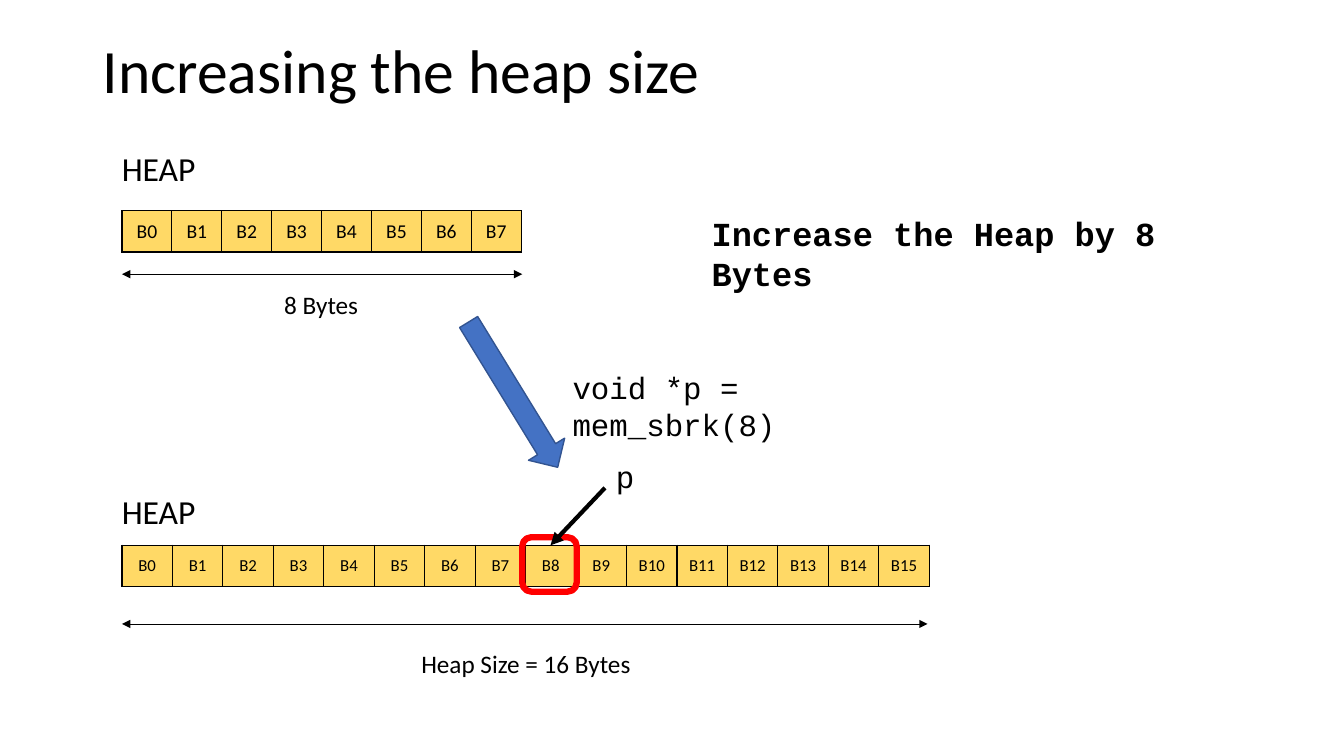
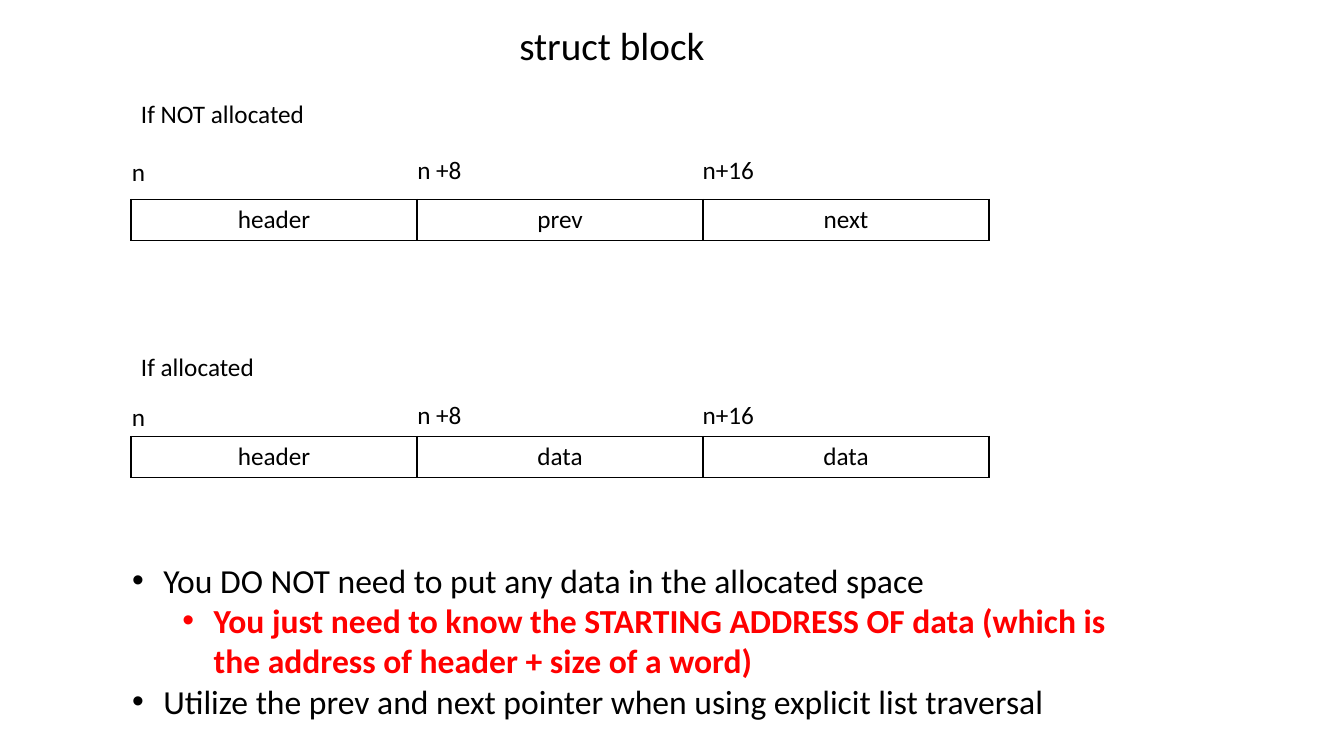
"""Two slides on growing a heap and on the layout of a struct block."""
from lxml import etree
from pptx import Presentation
from pptx import util as u
from pptx.dml.color import RGBColor
from pptx.enum import shapes, text
from pptx.oxml.ns import qn

COLORS = {
    "text": "000000",
    "cell": "FFD966",
    "arrow": "4472C4",
    "arrow_edge": "325491",
    "accent": "FF0000",
}
RGB = {name: RGBColor.from_string(value) for name, value in COLORS.items()}
SANS, MONO = "Calibri", "Courier New"


def add_run(p, words, size, font=SANS, bold=False, color="text"):
    r = p.add_run()
    r.text = words
    r.font.size = u.Pt(size)
    r.font.name = font
    r.font.bold = bold
    r.font.color.rgb = RGB[color]


def add_cells(s, labels, left, top, width, size, fill=None):
    box = [u.Inches(v) for v in (left, top, width, 0.41)]
    table = s.shapes.add_table(1, len(labels), *box).table
    table.first_row = table.horz_banding = False
    for cell, label in zip(table.iter_cells(), labels):
        cell.vertical_anchor = text.MSO_ANCHOR.MIDDLE
        tcPr = cell._tc.get_or_add_tcPr()
        for side in ("lnL", "lnR", "lnT", "lnB"):
            ln = etree.SubElement(tcPr, qn(f"a:{side}"), w=str(u.Pt(1)))
            solid = etree.SubElement(ln, qn("a:solidFill"))
            etree.SubElement(solid, qn("a:srgbClr"), val=COLORS["text"])
        if fill:
            cell.fill.solid()
            cell.fill.fore_color.rgb = RGB[fill]
        else:
            cell.fill.background()
        p = cell.text_frame.paragraphs[0]
        p.alignment = text.PP_ALIGN.CENTER
        add_run(p, label, size)


prs = Presentation()
prs.slide_width, prs.slide_height = u.Inches(13.33), u.Inches(7.5)

for layout, title, size, spacing, box in (
    (5, "Increasing the heap size", 44, 0.9, (0.92, 0, 11.5, 1.45)),
    (1, "struct block", 28, 1.0, (5.05, 0.16, 2.31, 0.57)),
):
    s = prs.slides.add_slide(prs.slide_layouts[layout])
    sp = s.shapes.title
    sp.left, sp.top, sp.width, sp.height = [u.Inches(v) for v in box]
    tf = sp.text_frame
    tf.auto_size = text.MSO_AUTO_SIZE.NONE
    tf.vertical_anchor = text.MSO_ANCHOR.MIDDLE
    p = tf.paragraphs[0]
    p.alignment = text.PP_ALIGN.LEFT
    p.line_spacing = spacing
    add_run(p, title, size)

heap, block = prs.slides

for count, top, width, size in ((8, 2.09, 3.96, 14), (16, 5.41, 8.01, 12)):
    labels = [f"B{i}" for i in range(count)]
    add_cells(heap, labels, 1.21, top, width, size, "cell")

sp = heap.shapes.add_shape(
    shapes.MSO_SHAPE.DOWN_ARROW,
    u.Inches(4.88), u.Inches(3.07), u.Inches(0.42), u.Inches(1.69))
sp.rotation = 328.5
sp.shadow.inherit = False
sp.fill.solid()
sp.fill.fore_color.rgb = RGB["arrow"]
sp.line.color.rgb = RGB["arrow_edge"]
sp.line.width = u.Pt(1)

sp = heap.shapes.add_shape(
    shapes.MSO_SHAPE.ROUNDED_RECTANGLE,
    u.Inches(5.18), u.Inches(5.33), u.Inches(0.54), u.Inches(0.54))
sp.shadow.inherit = False
sp.fill.background()
sp.line.color.rgb = RGB["accent"]
sp.line.width = u.Pt(4.5)

for x1, y1, x2, y2, width, ends in (
    (1.21, 2.72, 5.18, 2.72, 0.5, ("headEnd", "tailEnd")),
    (1.21, 6.19, 9.2, 6.19, 0.5, ("headEnd", "tailEnd")),
    (6, 4.84, 5.46, 5.41, 3, ("tailEnd",)),
):
    line = heap.shapes.add_connector(
        shapes.MSO_CONNECTOR.STRAIGHT, *[u.Inches(v) for v in (x1, y1, x2, y2)])
    line.line.color.rgb = RGB["text"]
    line.line.width = u.Pt(width)
    for end in ends:
        etree.SubElement(line.line._get_or_add_ln(), qn(f"a:{end}"), type="triangle")
    etree.SubElement(line._element.spPr, qn("a:effectLst"))

notes = [
    (heap, "HEAP", 1.11, 1.42, 0.97, 0.5, 24, SANS, False),
    (heap, "8 Bytes", 2.72, 2.82, 0.96, 0.4, 18, SANS, False),
    (heap, "Increase the Heap by 8 Bytes", 6.96, 2.06, 5.46, 0.5, 24, MONO, True),
    (heap, "void *p = mem_sbrk(8)", 5.58, 3.61, 3.78, 0.47, 22, MONO, False),
    (heap, "p", 6.01, 4.49, 0.32, 0.47, 22, MONO, False),
    (heap, "HEAP", 1.11, 4.82, 0.97, 0.5, 24, SANS, False),
    (heap, "Heap Size = 16 Bytes", 4.08, 6.38, 2.72, 0.4, 18, SANS, False),
]
for state, fields, state_top, offset_top, top in (
    ("If NOT allocated", ("header", "prev", "next"), 0.93, 1.48, 1.98),
    ("If allocated", ("header", "data", "data"), 3.44, 3.91, 4.33),
):
    add_cells(block, fields, 1.3, top, 8.51, 18)
    notes += [
        (block, state, 1.3, state_top, 3.86, 0.4, 18, SANS, False),
        (block, "n", 1.21, offset_top + 0.02, 0.42, 0.4, 18, SANS, False),
        (block, "n +8", 4.04, offset_top, 0.71, 0.4, 18, SANS, False),
        (block, "n+16", 6.87, offset_top, 0.85, 0.4, 18, SANS, False),
    ]

for s, words, left, top, width, height, size, font, bold in notes:
    sp = s.shapes.add_textbox(*[u.Inches(v) for v in (left, top, width, height)])
    tf = sp.text_frame
    tf.word_wrap = True
    tf.auto_size = text.MSO_AUTO_SIZE.SHAPE_TO_FIT_TEXT
    add_run(tf.paragraphs[0], words, size, font, bold)

sp = block.placeholders[1]
sp.left, sp.top, sp.width, sp.height = [u.Inches(v) for v in (1.21, 5.5, 9.99, 1.72)]
tf = sp.text_frame
tf.auto_size = text.MSO_AUTO_SIZE.NONE
for i, (level, words) in enumerate((
    (0, "You DO NOT need to put any data in the allocated space"),
    (1, "You just need to know the STARTING ADDRESS OF data "
        "(which is the address of header + size of a word)"),
    (0, "Utilize the prev and next pointer when using explicit list traversal"),
)):
    p = tf.add_paragraph() if i else tf.paragraphs[0]
    p.level = level
    p.line_spacing = 1.0
    p.space_before = u.Pt(0)
    pPr = p._p.get_or_add_pPr()
    pPr.set("marL", str(u.Inches(0.31 + 0.5 * level)))
    pPr.set("indent", str(u.Inches(-0.31)))
    etree.SubElement(pPr, qn("a:buFont"), typeface="Arial")
    etree.SubElement(pPr, qn("a:buChar"), char="•")
    add_run(p, words, 24, bold=level == 1, color="accent" if level else "text")

prs.save("out.pptx")
